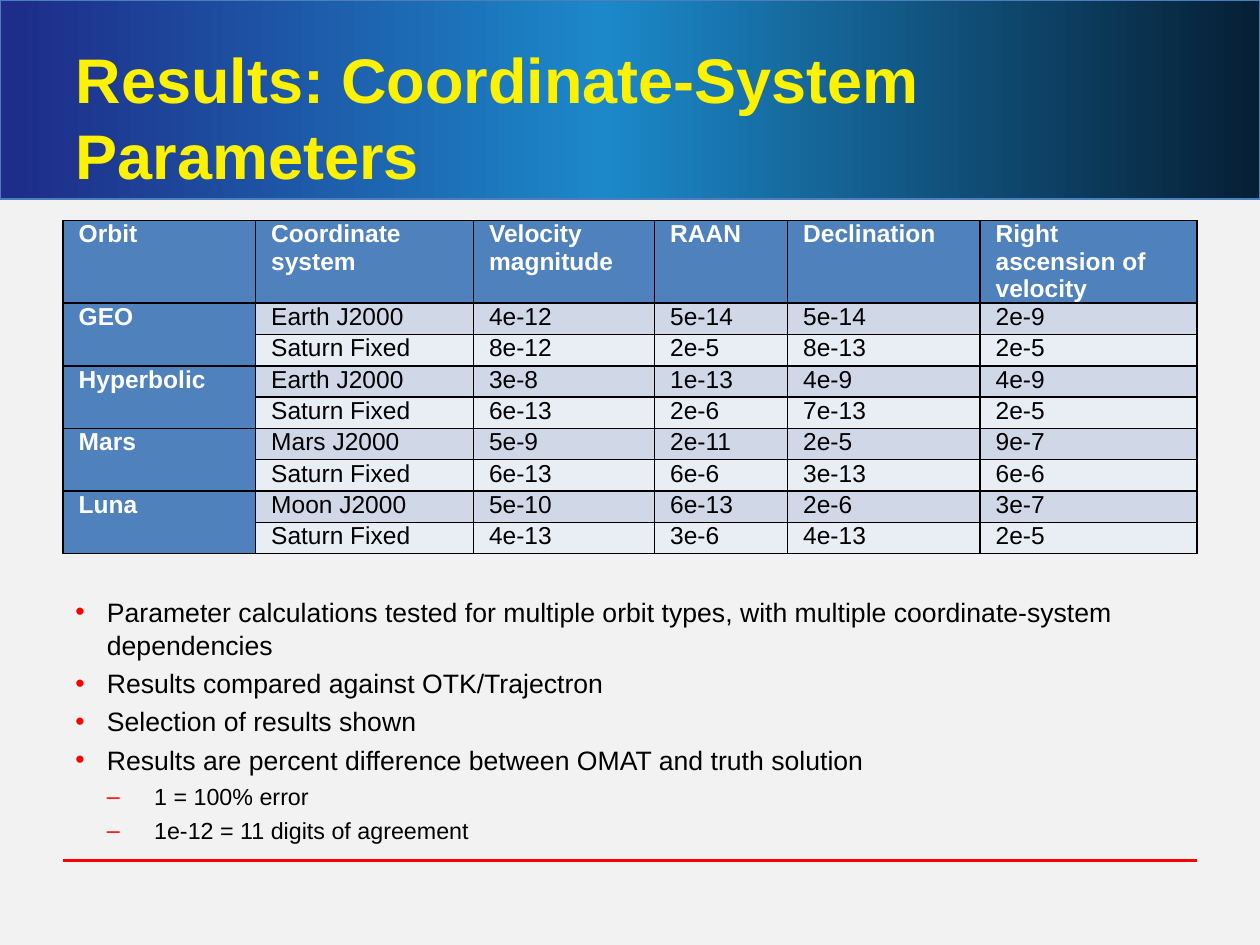
from copy import deepcopy

from lxml.etree import SubElement
from pptx import Presentation
from pptx.dml.color import RGBColor
from pptx.enum.shapes import MSO_CONNECTOR, MSO_SHAPE
from pptx.enum.text import MSO_ANCHOR, PP_ALIGN
from pptx.oxml import parse_xml
from pptx.oxml.ns import nsdecls, qn
from pptx.util import Pt

PAPER = RGBColor(0xF2, 0xF2, 0xF2)
NAVY = RGBColor(0x1E, 0x2D, 0x89)
SKY = RGBColor(0x1C, 0x88, 0xC9)
MIDNIGHT = RGBColor(0x06, 0x1F, 0x35)
BANNER_EDGE = RGBColor(0x4B, 0x7E, 0xBC)
YELLOW = RGBColor(0xFF, 0xF2, 0x00)
RED = RGBColor(0xFF, 0x00, 0x00)
BLACK = RGBColor(0x00, 0x00, 0x00)
WHITE = RGBColor(0xFF, 0xFF, 0xFF)
HEADER_BLUE = RGBColor(0x4F, 0x81, 0xBD)
BAND_DARK = RGBColor(0xD0, 0xD8, 0xE8)
BAND_LIGHT = RGBColor(0xE9, 0xED, 0xF4)


def add_text(paragraph, text, size, color, bold=False):
    run = paragraph.add_run()
    run.text = text
    run.font.name = "Arial"
    run.font.size = Pt(size)
    run.font.bold = bold
    run.font.color.rgb = color
    return run


def fill_cell(cell, text, fill, color, bold, align=PP_ALIGN.JUSTIFY):
    cell.margin_left = cell.margin_right = Pt(9)
    cell.margin_top = cell.margin_bottom = 0
    paragraph = cell.text_frame.paragraphs[0]
    paragraph.alignment = align
    if text:
        add_text(paragraph, text, 14, color, bold)
    properties = cell._tc.get_or_add_tcPr()
    for side in ("lnL", "lnR", "lnT", "lnB"):
        properties.append(parse_xml(
            f'<a:{side} {nsdecls("a")} w="12700"><a:solidFill>'
            f'<a:srgbClr val="{BLACK}"/></a:solidFill></a:{side}>'))
    cell.fill.solid()
    cell.fill.fore_color.rgb = fill


prs = Presentation()
prs.slide_width, prs.slide_height = Pt(720), Pt(540)
slide = prs.slides.add_slide(prs.slide_layouts[5])
slide.background.fill.solid()
slide.background.fill.fore_color.rgb = PAPER

banner = slide.shapes.add_shape(MSO_SHAPE.RECTANGLE, 0, 0, Pt(720), Pt(113.75))
banner.shadow.inherit = False
banner.line.color.rgb = BANNER_EDGE
banner.line.width = Pt(0.75)
banner.fill.gradient()
banner.fill.gradient_angle = 0
stop_list = next(banner._element.spPr.iter(qn("a:gsLst")))
stop_list.append(deepcopy(stop_list[-1]))
for stop, position, color in zip(banner.fill.gradient_stops, (0.01, 0.48, 1), (NAVY, SKY, MIDNIGHT)):
    stop.position = position
    stop.color.rgb = color
slide.shapes._spTree.insert(2, banner._element)

title = slide.shapes.title
title.left, title.top, title.width, title.height = Pt(36), Pt(21.6), Pt(648), Pt(90)
title.text_frame.word_wrap = True
title.text_frame.vertical_anchor = MSO_ANCHOR.MIDDLE
heading = title.text_frame.paragraphs[0]
heading.alignment = PP_ALIGN.LEFT
heading_run = add_text(heading, "Results: Coordinate-System Parameters", 36, YELLOW, True)
heading_run.font.fill._xPr.find(qn("a:solidFill")).addnext(parse_xml(
    f'<a:effectLst {nsdecls("a")}><a:outerShdw blurRad="38100" dist="38100" dir="2700000" algn="tl">'
    '<a:srgbClr val="000000"><a:alpha val="60000"/></a:srgbClr></a:outerShdw></a:effectLst>'))

footer_rule = slide.shapes.add_connector(MSO_CONNECTOR.STRAIGHT, Pt(36), Pt(491.75), Pt(684), Pt(491.75))
footer_rule.line.color.rgb = RED
footer_rule.line.width = Pt(2)
SubElement(footer_rule._element.spPr, qn("a:effectLst"))

headers = ["Orbit", "Coordinate system", "Velocity magnitude", "RAAN", "Declination",
           "Right ascension of velocity"]
results = [
    ["GEO", "Earth J2000", "4e-12", "5e-14", "5e-14", "2e-9"],
    ["", "Saturn Fixed", "8e-12", "2e-5", "8e-13", "2e-5"],
    ["Hyperbolic", "Earth J2000", "3e-8", "1e-13", "4e-9", "4e-9"],
    ["", "Saturn Fixed", "6e-13", "2e-6", "7e-13", "2e-5"],
    ["Mars", "Mars J2000", "5e-9", "2e-11", "2e-5", "9e-7"],
    ["", "Saturn Fixed", "6e-13", "6e-6", "3e-13", "6e-6"],
    ["Luna", "Moon J2000", "5e-10", "6e-13", "2e-6", "3e-7"],
    ["", "Saturn Fixed", "4e-13", "3e-6", "4e-13", "2e-5"],
]
orbits = slide.shapes.add_table(9, 6, Pt(36), Pt(126), Pt(648), Pt(190.5)).table
for column, width in zip(orbits.columns, (110, 124.5, 103.5, 76, 110, 124)):
    column.width = Pt(width)
for row in orbits.rows:
    row.height = Pt(17.9)
orbits.rows[0].height = Pt(47.3)

for c, text in enumerate(headers):
    align = PP_ALIGN.LEFT if c == 5 else PP_ALIGN.JUSTIFY
    fill_cell(orbits.cell(0, c), text, HEADER_BLUE, WHITE, True, align)
for r, values in enumerate(results, start=1):
    band = BAND_DARK if r % 2 else BAND_LIGHT
    fill_cell(orbits.cell(r, 0), values[0], HEADER_BLUE, WHITE, True)
    for c, text in enumerate(values[1:], start=1):
        fill_cell(orbits.cell(r, c), text, band, BLACK, False)
for r in range(1, 9, 2):
    orbits.cell(r, 0).merge(orbits.cell(r + 1, 0))

findings = [
    (0, "Parameter calculations tested for multiple orbit types, with multiple coordinate-system dependencies"),
    (0, "Results compared against OTK/Trajectron"),
    (0, "Selection of results shown"),
    (0, "Results are percent difference between OMAT and truth solution"),
    (1, "1 = 100% error"),
    (1, "1e-12 = 11 digits of agreement"),
]
level_styles = [(15.2, 18, -18, "•"), (13.3, 45, -27, "–")]
notes = slide.shapes.add_textbox(Pt(36), Pt(336), Pt(648), Pt(126)).text_frame
notes.word_wrap = True
for i, (level, text) in enumerate(findings):
    size, margin, indent, bullet = level_styles[level]
    paragraph = notes.add_paragraph() if i else notes.paragraphs[0]
    paragraph.level = level
    paragraph.space_before = Pt(3)
    paragraph.line_spacing = 1.04
    properties = paragraph._p.get_or_add_pPr()
    properties.set("marL", str(Pt(margin)))
    properties.set("indent", str(Pt(indent)))
    bullet_color = SubElement(properties, qn("a:buClr"))
    SubElement(bullet_color, qn("a:srgbClr"), val=str(RED))
    SubElement(properties, qn("a:buFont"), typeface="Arial")
    SubElement(properties, qn("a:buChar"), char=bullet)
    add_text(paragraph, text, size, BLACK)

prs.save("out.pptx")
